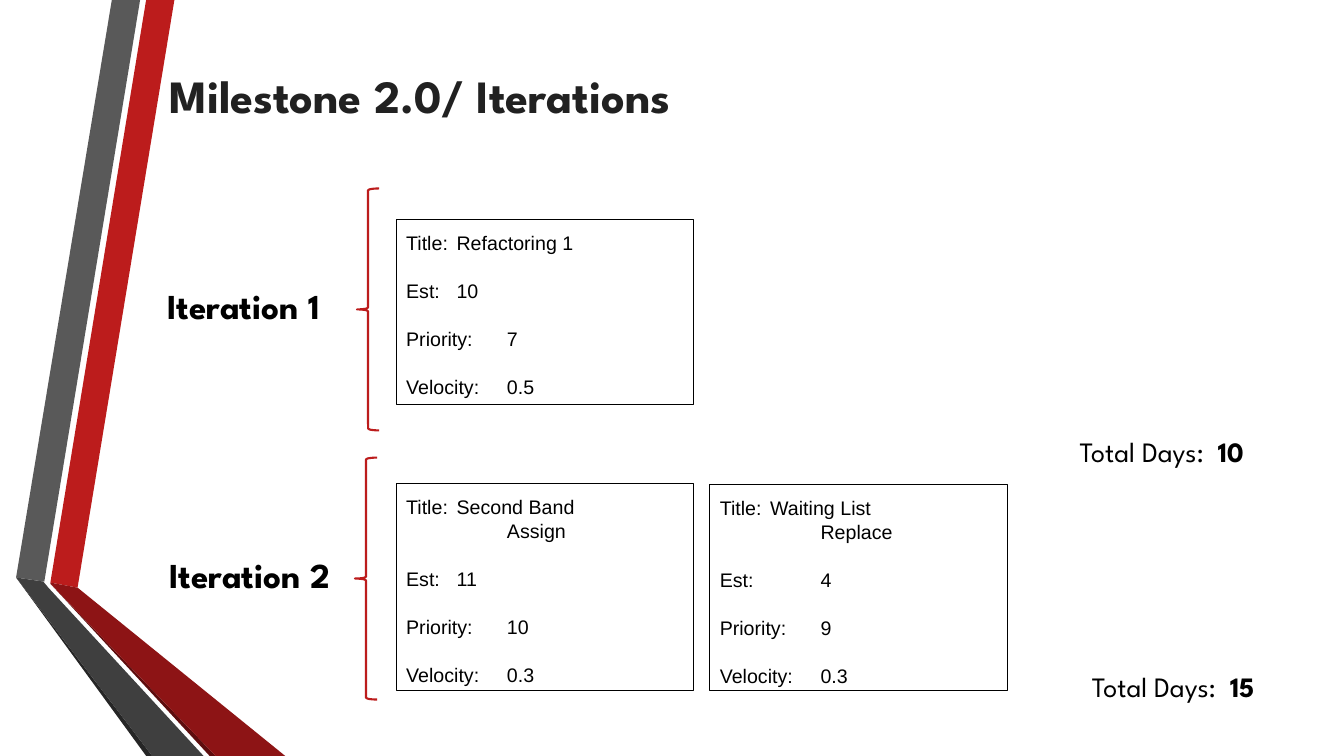
"""Build the Milestone 2.0 iterations slide with its task cards and totals."""
from pptx import Presentation
from pptx.dml.color import RGBColor
from pptx.enum.shapes import MSO_SHAPE
from pptx.enum.text import MSO_ANCHOR, PP_ALIGN
from pptx.util import Pt

PX = 9144
COLORS = {
    "red": "BC1C1C", "dark_red": "8D1415", "deep_red": "5E0D0E",
    "gray": "595959", "dark_gray": "3F3F3F", "deep_gray": "262626",
    "title": "212121", "black": "000000", "white": "FFFFFF",
}

presentation = Presentation()
presentation.slide_width = 1333 * PX
presentation.slide_height = 750 * PX
slide = presentation.slides.add_slide(presentation.slide_layouts[6])


def color(name):
    return RGBColor.from_string(COLORS[name])


def add_label(box, parts, size, font_color="black", anchor=MSO_ANCHOR.TOP):
    text_box = slide.shapes.add_textbox(*(value * PX for value in box))
    text_frame = text_box.text_frame
    text_frame.word_wrap = True
    text_frame.vertical_anchor = anchor
    for text, bold in parts:
        run = text_frame.paragraphs[0].add_run()
        run.text = text
        run.font.name = "League Spartan"
        run.font.size = Pt(size)
        run.font.bold = bold
        run.font.color.rgb = color(font_color)


ribbons = [
    ("red", [(50, 578), (77, 583), (173, 0), (145, 0)]),
    ("gray", [(139, 0), (111, 0), (16, 573), (44, 577)]),
    ("deep_gray", [(16, 573), (145, 750), (151, 750)]),
    ("deep_red", [(50, 579), (208, 750), (214, 750)]),
    ("dark_red", [(50, 578), (50, 579), (214, 750), (283, 750), (77, 583)]),
    ("dark_gray", [(202, 750), (48, 583), (43, 577), (16, 573), (151, 750)]),
]
for fill, points in ribbons:
    builder = slide.shapes.build_freeform(*points[0], scale=PX)
    builder.add_line_segments(points[1:], close=True)
    ribbon = builder.convert_to_shape()
    ribbon.shadow.inherit = False
    ribbon.fill.solid()
    ribbon.fill.fore_color.rgb = color(fill)
    ribbon.line.fill.background()

add_label((158, 48, 877, 92), [("Milestone 2.0/ Iterations", True)], 33,
          "title", MSO_ANCHOR.MIDDLE)

iterations = [
    ("Iteration 1", (156, 277), (354, 187), "10", (1061, 426)),
    ("Iteration 2", (158, 544), (352, 454), "15", (1073, 659)),
]
for name, name_at, brace_at, days, days_at in iterations:
    brace = slide.shapes.add_shape(
        MSO_SHAPE.LEFT_BRACE, brace_at[0] * PX, brace_at[1] * PX, 22 * PX, 240 * PX)
    brace.shadow.inherit = False
    brace.fill.background()
    brace.line.color.rgb = color("red")
    brace.line.width = Pt(1.5)
    add_label((*name_at, 238, 57), [(name, True)], 25)
    add_label((*days_at, 238, 44), [("Total Days:  ", False), (days, True)], 20)

cards = [
    ((393, 218, 295, 183),
     ["Title:\tRefactoring 1", "Est:\t10", "Priority:\t7", "Velocity:\t0.5"]),
    ((393, 480, 295, 205),
     ["Title:\tSecond Band\v\t\tAssign", "Est:\t11", "Priority:\t10", "Velocity:\t0.3"]),
    ((704, 481, 295, 204),
     ["Title:\tWaiting List\v\t\tReplace", "Est:\t\t4", "Priority:\t9", "Velocity:\t0.3"]),
]
for box, lines in cards:
    card = slide.shapes.add_shape(MSO_SHAPE.RECTANGLE, *(value * PX for value in box))
    card.shadow.inherit = False
    card.fill.solid()
    card.fill.fore_color.rgb = color("white")
    card.line.color.rgb = color("black")
    card.line.width = Pt(0.75)
    text_frame = card.text_frame
    text_frame.word_wrap = True
    text_frame.vertical_anchor = MSO_ANCHOR.TOP
    text_frame.margin_left = text_frame.margin_right = 10 * PX
    text_frame.margin_top = text_frame.margin_bottom = 10 * PX
    for index, line in enumerate(lines):
        paragraph = text_frame.add_paragraph() if index else text_frame.paragraphs[0]
        paragraph.text = line
        paragraph.alignment = PP_ALIGN.LEFT
        paragraph.line_spacing = 1.04
        paragraph.space_before = Pt(16.8 if index else 0)
        for run in paragraph.runs:
            run.font.name = "Arial"
            run.font.size = Pt(14)
            run.font.color.rgb = color("black")

presentation.save("out.pptx")
